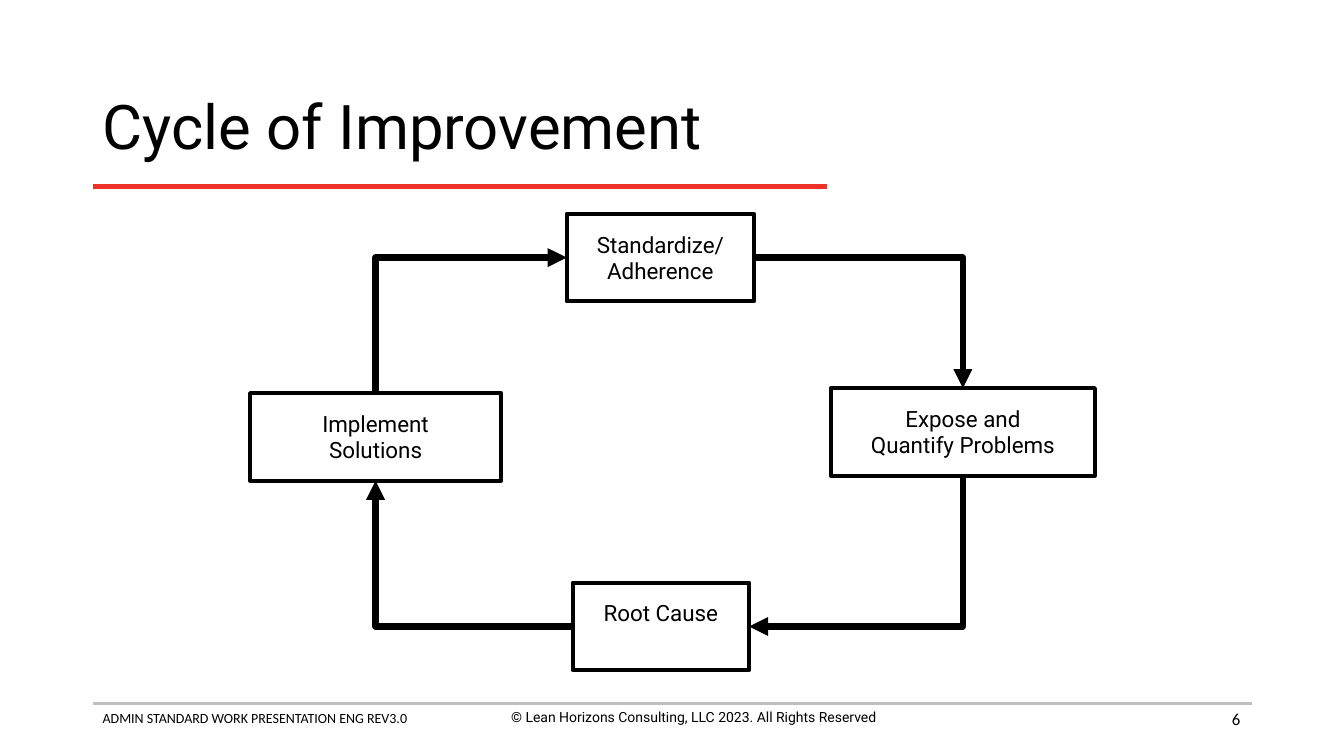
from lxml.etree import SubElement
from pptx import Presentation
from pptx.dml.color import RGBColor
from pptx.enum.shapes import MSO_CONNECTOR as Connector, MSO_SHAPE as Shape
from pptx.enum.text import MSO_ANCHOR as Anchor, PP_ALIGN as Align
from pptx.oxml.ns import qn
from pptx.util import Inches, Pt

BLACK = RGBColor(0x00, 0x00, 0x00)
WHITE = RGBColor(0xFF, 0xFF, 0xFF)
GREY = RGBColor(0xBF, 0xBF, 0xBF)
RED = RGBColor(0xEE, 0x32, 0x28)
BODY_FONT = "Roboto"
FOOTER_FONT = "Calibri"
TOP, LEFT, BOTTOM, RIGHT = range(4)


class SlideBuilder:
    def __init__(self, slide):
        self.slide = slide

    def add_text(self, paragraph, text, size, font):
        run = paragraph.add_run()
        run.text = text
        run.font.size = Pt(size)
        run.font.name = font
        run.font.color.rgb = BLACK

    def label(self, text, left, top, width, height, size, font=BODY_FONT,
              align=Align.LEFT, anchor=Anchor.TOP, line_spacing=1.0):
        box = self.slide.shapes.add_textbox(
            Inches(left), Inches(top), Inches(width), Inches(height))
        frame = box.text_frame
        frame.word_wrap = True
        frame.vertical_anchor = anchor
        paragraph = frame.paragraphs[0]
        paragraph.alignment = align
        paragraph.line_spacing = line_spacing
        self.add_text(paragraph, text, size, font)

    def style_line(self, connector, color, width):
        connector.line.color.rgb = color
        connector.line.width = Pt(width)
        SubElement(connector._element.spPr, qn("a:effectLst"))

    def rule(self, left, right, y, color, width):
        connector = self.slide.shapes.add_connector(
            Connector.STRAIGHT, Inches(left), Inches(y), Inches(right), Inches(y))
        self.style_line(connector, color, width)

    def step(self, lines, left, top, width, bottom_inset=0.05):
        shape = self.slide.shapes.add_shape(
            Shape.RECTANGLE, Inches(left), Inches(top), Inches(width), Inches(0.87))
        shape.shadow.inherit = False
        shape.fill.solid()
        shape.fill.fore_color.rgb = WHITE
        shape.line.color.rgb = BLACK
        shape.line.width = Pt(2.75)
        frame = shape.text_frame
        frame.word_wrap = True
        frame.vertical_anchor = Anchor.MIDDLE
        frame.margin_top = Inches(0.09)
        frame.margin_bottom = Inches(bottom_inset)
        for index, text in enumerate(lines):
            paragraph = frame.paragraphs[0] if index == 0 else frame.add_paragraph()
            paragraph.alignment = Align.CENTER
            paragraph.line_spacing = 0.8
            if index:
                paragraph.space_before = Pt(3.2)
            self.add_text(paragraph, text, 16, BODY_FONT)
        return shape

    def corner_arrow(self, source, source_side, target, target_side, quarter_turns):
        connector = self.slide.shapes.add_connector(Connector.ELBOW, 0, 0, 0, 0)
        connector.begin_connect(source, source_side)
        connector.end_connect(target, target_side)
        center_x = (connector.begin_x + connector.end_x) // 2
        center_y = (connector.begin_y + connector.end_y) // 2
        width, height = connector.width, connector.height
        if quarter_turns % 2:
            width, height = height, width
        connector.left, connector.top = center_x - width // 2, center_y - height // 2
        connector.width, connector.height = width, height
        properties = connector._element.spPr
        transform = properties.find(qn("a:xfrm"))
        for flip in ("flipH", "flipV"):
            transform.attrib.pop(flip, None)
        transform.set("rot", str(quarter_turns * 90 * 60000))
        properties.find(qn("a:prstGeom")).set("prst", "bentConnector2")
        self.style_line(connector, BLACK, 4.5)
        line = properties.find(qn("a:ln"))
        SubElement(line, qn("a:tailEnd"), type="triangle")


def main():
    presentation = Presentation()
    presentation.slide_width = Inches(13.33)
    presentation.slide_height = Inches(7.5)
    builder = SlideBuilder(presentation.slides.add_slide(presentation.slide_layouts[6]))

    builder.rule(0.92, 12.42, 6.98, GREY, 2)
    builder.label("ADMIN STANDARD WORK PRESENTATION ENG REV3.0",
                  0.92, 6.99, 4.56, 0.44, 10, FOOTER_FONT)
    builder.label("© Lean Horizons Consulting, LLC 2023. All Rights Reserved",
                  4.6, 6.98, 4.56, 0.44, 10, align=Align.CENTER)
    builder.rule(0.92, 8.2, 1.85, RED, 3)
    builder.label("Cycle of Improvement", 0.92, 0.74, 11.5, 1.1, 44,
                  anchor=Anchor.MIDDLE, line_spacing=0.9)
    builder.label("6", 9.4, 6.93, 3, 0.4, 12, FOOTER_FONT, Align.RIGHT, Anchor.MIDDLE)

    standardize = builder.step(["Standardize/", "Adherence"], 5.62, 2.12, 1.86)
    expose = builder.step(["Expose and", "Quantify Problems"], 8.24, 3.85, 2.62)
    root_cause = builder.step(["Root Cause"], 5.68, 5.78, 1.75, bottom_inset=0.31)
    implement = builder.step(["Implement", "Solutions"], 2.48, 3.9, 2.49)

    arrows = [
        (standardize, RIGHT, expose, TOP),
        (expose, BOTTOM, root_cause, RIGHT),
        (root_cause, LEFT, implement, BOTTOM),
        (implement, TOP, standardize, LEFT),
    ]
    for quarter_turns, arrow in enumerate(arrows):
        builder.corner_arrow(*arrow, quarter_turns)

    presentation.save("out.pptx")


if __name__ == "__main__":
    main()
